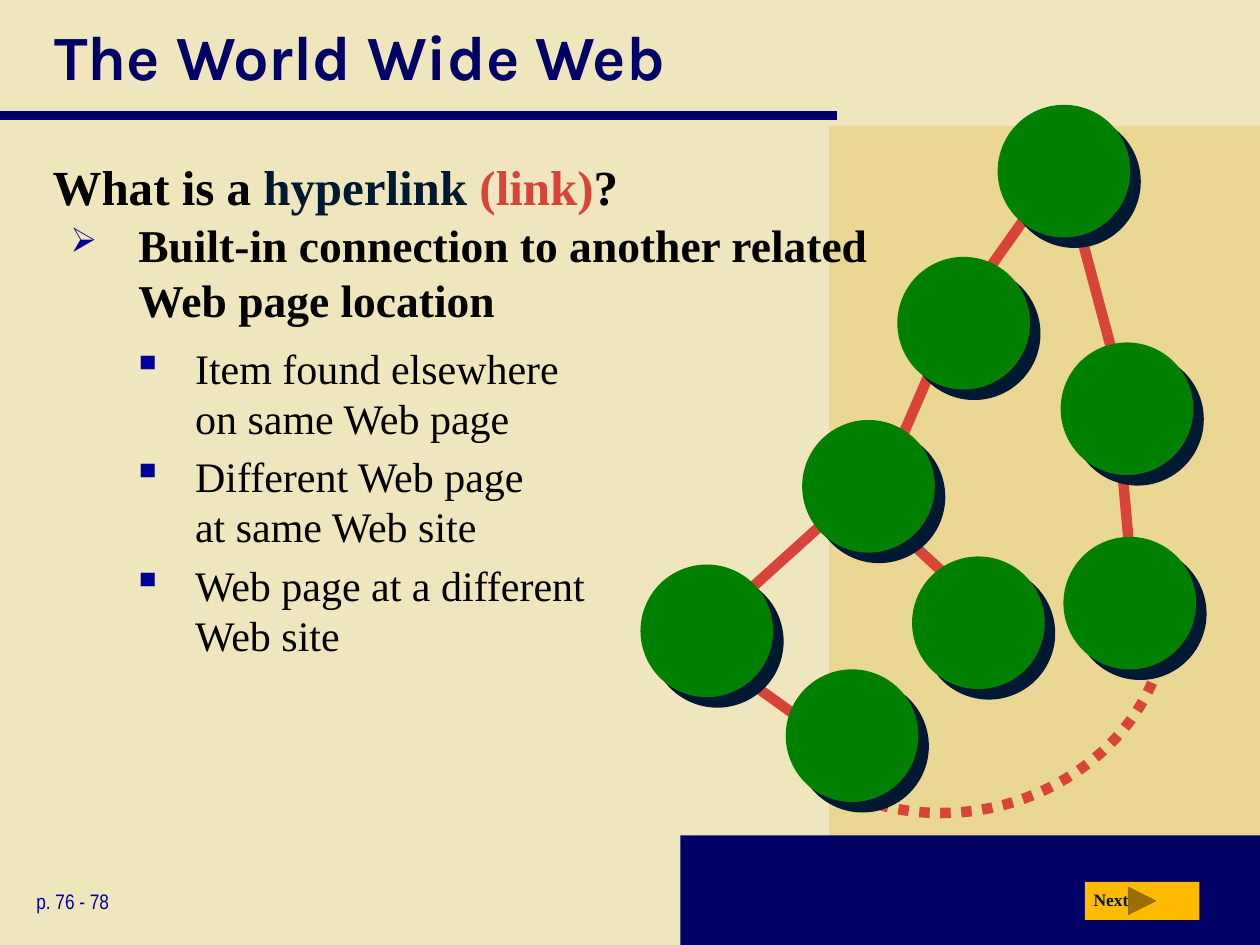
from pptx import Presentation
from pptx.dml.color import RGBColor
from pptx.enum.dml import MSO_LINE
from pptx.enum.shapes import MSO_CONNECTOR, MSO_SHAPE
from pptx.enum.text import MSO_ANCHOR
from pptx.oxml import parse_xml
from pptx.oxml.ns import nsdecls
from pptx.util import Pt

COLORS = {
    "cream": "F0E6BE", "sand": "E9D793", "navy": "000066", "blue": "000099",
    "black": "000000", "dark": "001932", "red": "D94439", "green": "008000",
    "amber": "FFBA02",
}
PANELS = [
    ((473.8, 72, 246.2, 468), "sand"),
    ((388.8, 477.4, 331.2, 62.6), "navy"),
]
TITLE_RULE = (0, 66.2, 478.1, 66.2)

SERIF = "Times New Roman"
TITLE = [[("The World Wide Web", "navy")]]
QUESTION = [[("What is a ", "black"), ("hyperlink", "dark"),
             (" (link)", "red"), ("?", "black")]]
ANSWER = [[("Built-in connection to another related \vWeb page location", "black")]]
LINK_TARGETS = [
    [("Item found elsewhere \von same Web page", "black")],
    [("Different Web page \vat same Web site", "black")],
    [("Web page at a different \vWeb site", "black")],
]
PAGES = [[("p. 76 - 78", "blue")]]
NEXT = [[("Next", "dark")]]

DIAMETER = 75.8
NODES = [
    (559.1, 355.9), (496.3, 277.9), (403.9, 360.5), (486.9, 420.4),
    (645.6, 344.7), (644, 233.6), (608, 97.8), (550.7, 184.7),
]
LINKS = [
    (542.2, 187.9, 514.8, 251.3), (499, 290.2, 547.2, 334.8),
    (503.3, 269.3, 421.2, 343.4), (421.9, 385.2, 481, 427.7),
    (640.8, 262.8, 646.6, 327.6), (610.6, 108, 640.1, 218.2),
    (599, 105.8, 550.1, 175),
]
DOTTED_CURVES = [
    ((490.3, 455.8), (515.5, 465.8), (545, 467.3), (573.1, 460.1)),
    ((573.1, 460.1), (625, 446.4), (663.1, 404.6), (666, 358.6)),
]
CURVE_STEPS = 24
NEXT_BUTTON = (619.9, 504, 65.5, 21.6)


def color(name):
    return RGBColor.from_string(COLORS[name])


def add_solid(preset, box, fill):
    solid = slide.shapes.add_shape(preset, *map(Pt, box))
    solid.shadow.inherit = False
    solid.fill.solid()
    solid.fill.fore_color.rgb = color(fill)
    solid.line.fill.background()
    return solid


def add_line(ends, name, width):
    line = slide.shapes.add_connector(MSO_CONNECTOR.STRAIGHT, *map(Pt, ends))
    line.line.color.rgb = color(name)
    line.line.width = Pt(width)
    line._element.spPr.append(parse_xml(f"<a:effectLst {nsdecls('a')}/>"))


def add_bullet(paragraph, char, size, margin, indent):
    props = paragraph._p.get_or_add_pPr()
    props.set("marL", str(Pt(margin)))
    props.set("indent", str(Pt(indent)))
    for tag in (f'<a:buClr {{}}><a:srgbClr val="{COLORS["blue"]}"/></a:buClr>',
                f'<a:buSzPct {{}} val="{size * 1000}"/>',
                f'<a:buChar {{}} char="{char}"/>'):
        props.append(parse_xml(tag.format(nsdecls("a"))))


def add_text(box, paragraphs, font, bullet=None, before=0, leading=None,
             anchor=MSO_ANCHOR.TOP):
    frame = slide.shapes.add_textbox(*map(Pt, box)).text_frame
    frame.word_wrap = True
    frame.vertical_anchor = anchor
    for index, runs in enumerate(paragraphs):
        paragraph = frame.add_paragraph() if index else frame.paragraphs[0]
        if leading:
            paragraph.line_spacing = Pt(leading)
        if index:
            paragraph.space_before = Pt(before)
        if bullet:
            add_bullet(paragraph, *bullet)
        for words, name in runs:
            for part, piece in enumerate(words.split("\v")):
                if part:
                    paragraph.add_line_break()
                run = paragraph.add_run()
                run.text = piece
                run.font.color.rgb = color(name)
                for key, value in font.items():
                    setattr(run.font, key, value)


def curve_point(curve, t):
    weights = ((1 - t) ** 3, 3 * t * (1 - t) ** 2, 3 * t * t * (1 - t), t ** 3)
    return tuple(Pt(sum(w * p[axis] for w, p in zip(weights, curve)))
                 for axis in (0, 1))


def add_dotted_arc():
    points = [curve_point(curve, step / CURVE_STEPS)
              for curve in DOTTED_CURVES for step in range(1, CURVE_STEPS + 1)]
    builder = slide.shapes.build_freeform(*curve_point(DOTTED_CURVES[0], 0))
    builder.add_line_segments(points, close=False)
    arc = builder.convert_to_shape()
    arc.shadow.inherit = False
    arc.fill.background()
    arc.line.color.rgb = color("red")
    arc.line.width = Pt(6)
    arc.line.dash_style = MSO_LINE.ROUND_DOT


def add_node(center):
    left, top = (value - DIAMETER / 2 for value in center)
    node = add_solid(MSO_SHAPE.OVAL, (left, top, DIAMETER, DIAMETER), "green")
    node._element.spPr.find("{*}effectLst").append(parse_xml(
        f'<a:outerShdw {nsdecls("a")} dist="{Pt(8.5)}" dir="2700000" '
        f'algn="ctr" rotWithShape="0"><a:srgbClr val="{COLORS["dark"]}"/>'
        '</a:outerShdw>'))


deck = Presentation()
deck.slide_width, deck.slide_height = Pt(720), Pt(540)
slide = deck.slides.add_slide(deck.slide_layouts[6])
slide.background.fill.solid()
slide.background.fill.fore_color.rgb = color("cream")

for box, fill in PANELS:
    add_solid(MSO_SHAPE.RECTANGLE, box, fill)
add_line(TITLE_RULE, "navy", 5)

add_text((23.8, 0, 676, 63.4), TITLE,
         {"name": "Karla", "size": Pt(36), "bold": True}, anchor=MSO_ANCHOR.MIDDLE)
add_text((23, 85.7, 545.8, 64), QUESTION,
         {"name": SERIF, "size": Pt(28), "bold": True}, leading=34)
add_text((13.7, 504, 121.7, 21.6), PAGES, {"name": "Arial Narrow", "size": Pt(12)})

add_dotted_arc()
for ends in LINKS:
    add_line(ends, "red", 6)

add_solid(MSO_SHAPE.ACTION_BUTTON_FORWARD_OR_NEXT, NEXT_BUTTON, "amber")
add_text((617.8, 504.7, 36.7, 19.4), NEXT,
         {"name": SERIF, "size": Pt(10), "bold": True})
add_text((23.8, 192.2, 545.8, 208), LINK_TARGETS, {"name": SERIF, "size": Pt(24)},
         bullet=("▪", 100, 80.6, -36), before=4.8, leading=28.6)
add_text((23.8, 120.2, 545.8, 112.3), ANSWER,
         {"name": SERIF, "size": Pt(26), "bold": True},
         bullet=("➢", 75, 48.2, -38.9), leading=31.4)

for center in NODES:
    add_node(center)

deck.save("out.pptx")
